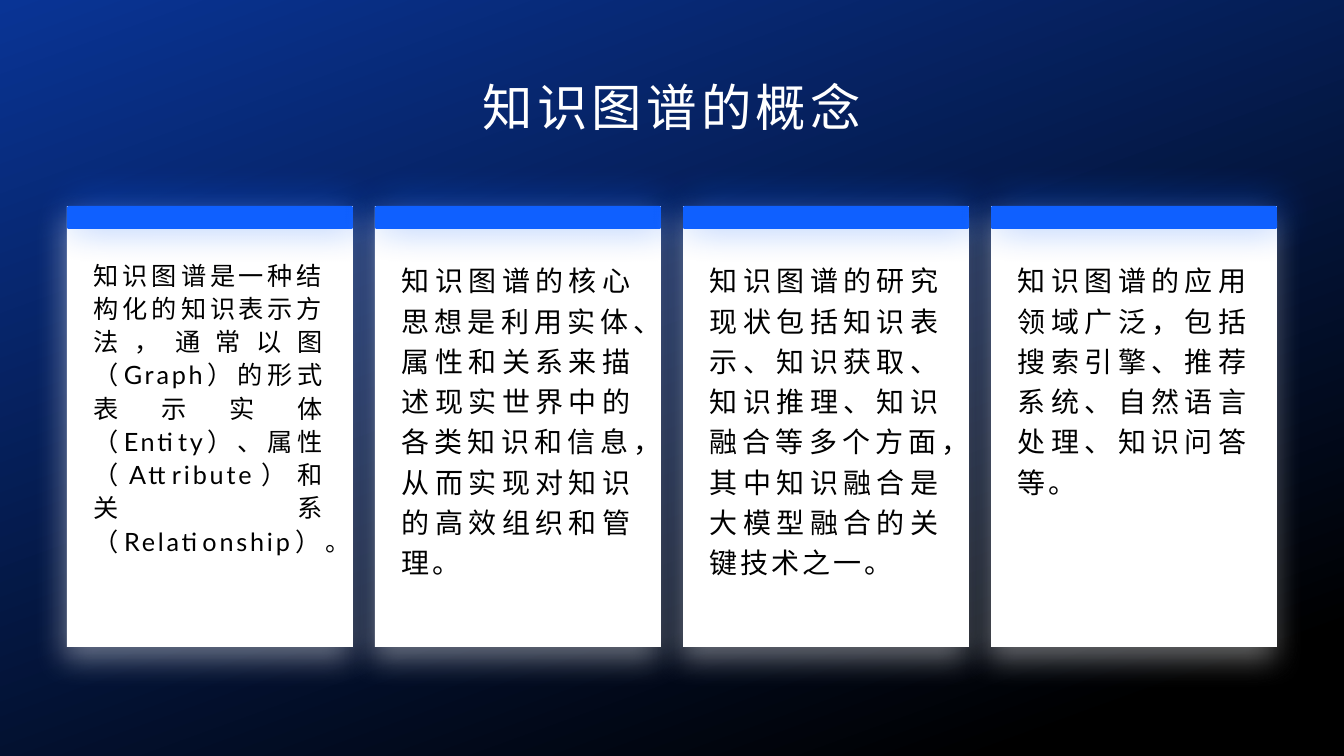
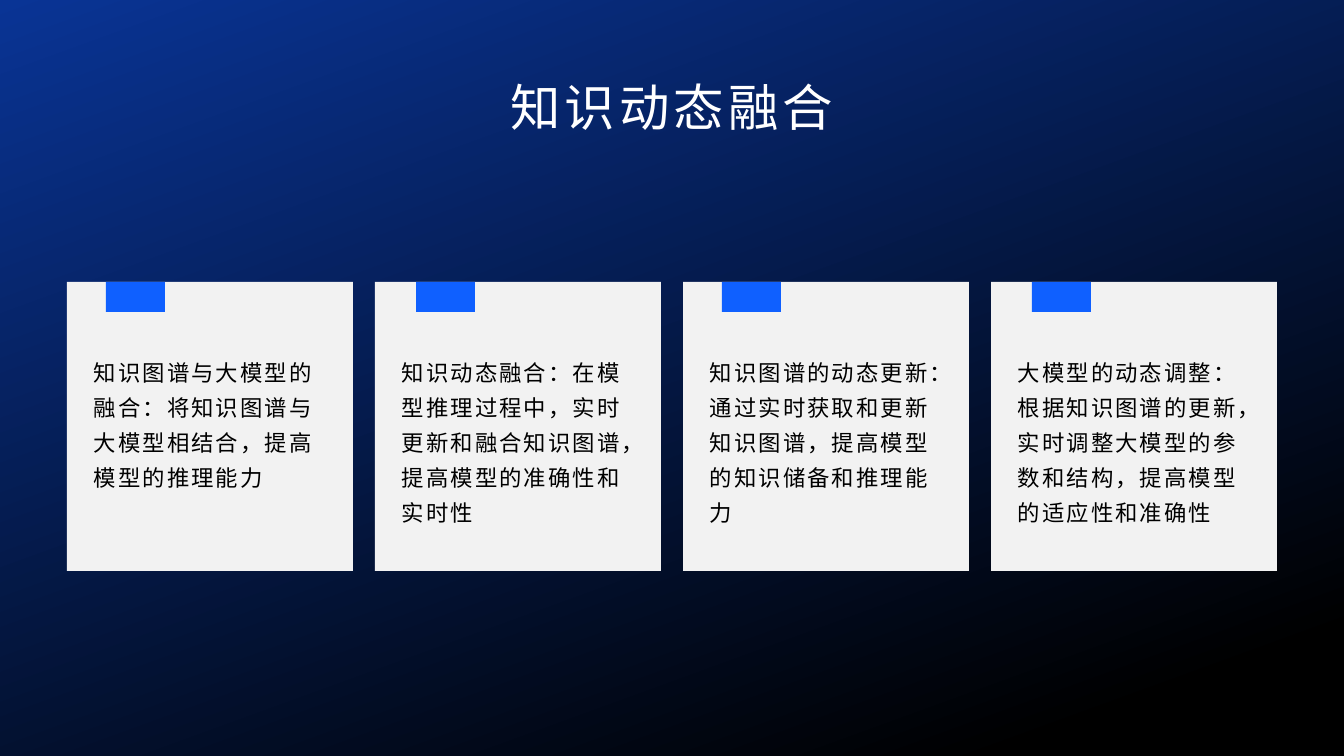
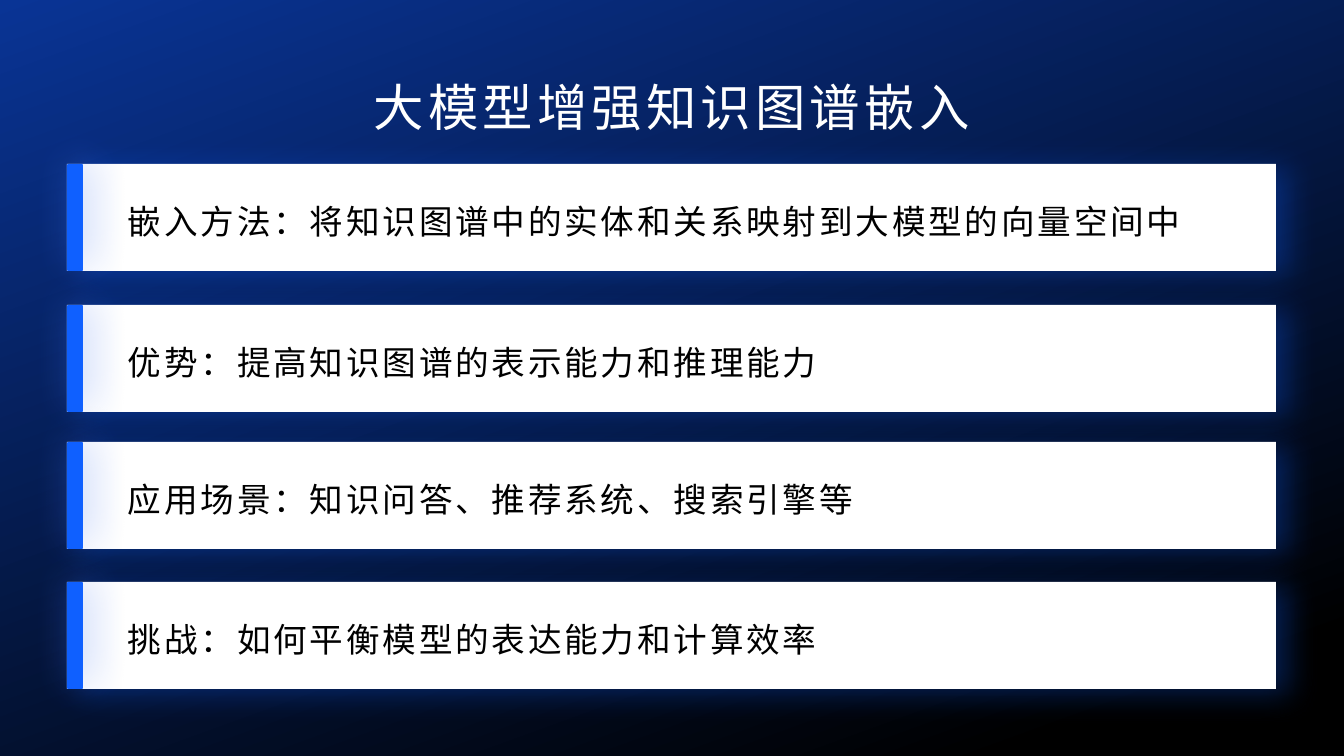
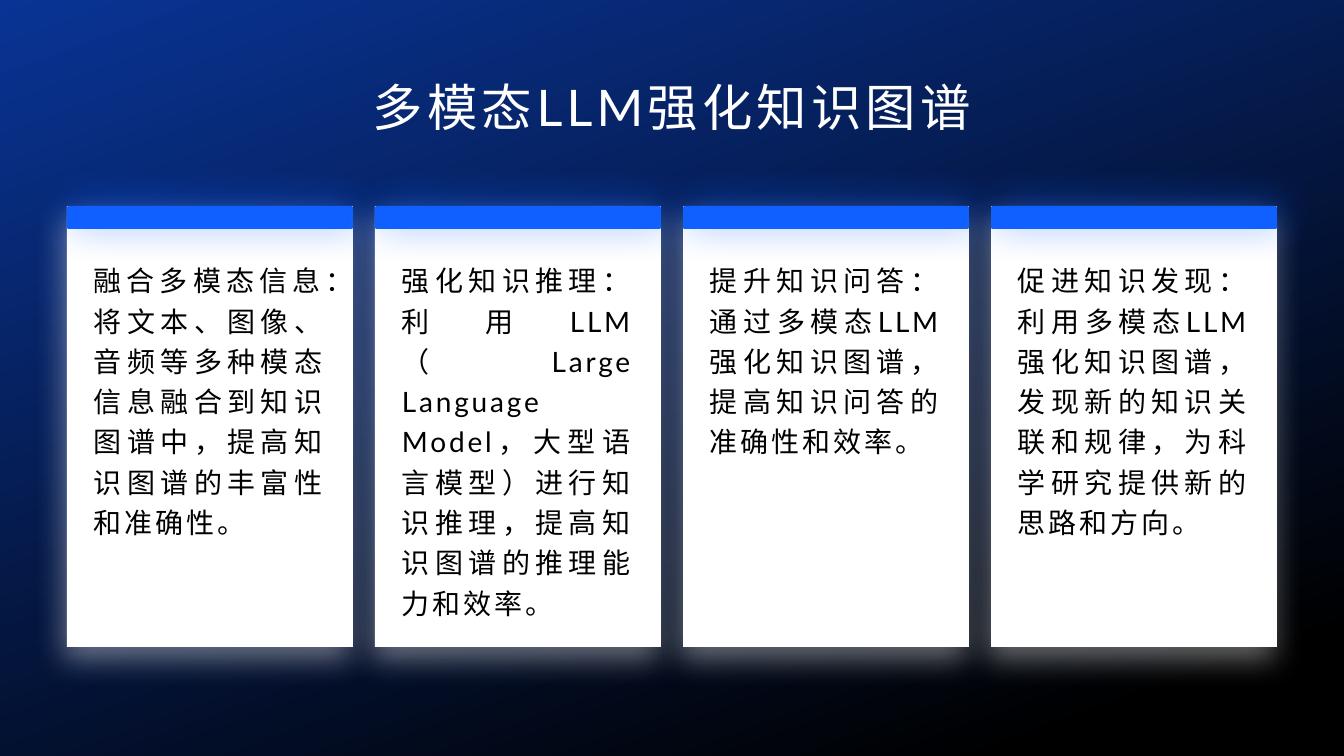
from lxml import etree
from pptx import Presentation
from pptx.dml.color import RGBColor
from pptx.enum import shapes, text
from pptx.oxml.ns import qn
from pptx.util import Emu, Pt

SCALE = 914400 / 100.8
FONT = "Lato"
NAVY = RGBColor(0x09, 0x34, 0x95)
BLACK = RGBColor(0, 0, 0)
WHITE = RGBColor(0xFF, 0xFF, 0xFF)
PALE = RGBColor(0xF2, 0xF2, 0xF2)
BLUE = RGBColor(0x0F, 0x60, 0xFF)
SKY = RGBColor(0x45, 0x75, 0xF0)
LEFT, STEP = 67, 308

CONCEPT = (
    "知识图谱是一种结构化的知识表示方法，通常以图（Graph）的形式表示实体（Entity）、属性（Attribute）和关系（Relationship）。",
    "知识图谱的核心思想是利用实体、属性和关系来描述现实世界中的各类知识和信息，从而实现对知识的高效组织和管理。",
    "知识图谱的研究现状包括知识表示、知识获取、知识推理、知识融合等多个方面，其中知识融合是大模型融合的关键技术之一。",
    "知识图谱的应用领域广泛，包括搜索引擎、推荐系统、自然语言处理、知识问答等。",
)
FUSION = (
    (39, "知识图谱与大模型的融合：将知识图谱与大模型相结合，提高模型的推理能力"),
    (41, "知识动态融合：在模型推理过程中，实时更新和融合知识图谱，提高模型的准确性和实时性"),
    (39, "知识图谱的动态更新：通过实时获取和更新知识图谱，提高模型的知识储备和推理能力"),
    (41, "大模型的动态调整：根据知识图谱的更新，实时调整大模型的参数和结构，提高模型的适应性和准确性"),
)
EMBED = (
    (164, "嵌入方法：将知识图谱中的实体和关系映射到大模型的向量空间中"),
    (305, "优势：提高知识图谱的表示能力和推理能力"),
    (442, "应用场景：知识问答、推荐系统、搜索引擎等"),
    (582, "挑战：如何平衡模型的表达能力和计算效率"),
)
MODAL = (
    "融合多模态信息：将文本、图像、音频等多种模态信息融合到知识图谱中，提高知识图谱的丰富性和准确性。",
    "强化知识推理：利用LLM（Large Language Model，大型语言模型）进行知识推理，提高知识图谱的推理能力和效率。",
    "提升知识问答：通过多模态LLM强化知识图谱，提高知识问答的准确性和效率。",
    "促进知识发现：利用多模态LLM强化知识图谱，发现新的知识关联和规律，为科学研究提供新的思路和方向。",
)


def px(*sizes):
    """Turn pixel lengths into EMU."""
    return [Emu(round(size * SCALE)) for size in sizes]


def glow(shape, color, alpha, blur, dist, angle):
    """Give a shape a soft coloured outer shadow."""
    effects = shape._element.spPr.find(qn("a:effectLst"))
    outer = etree.SubElement(
        effects, qn("a:outerShdw"), blurRad=str(Pt(blur)), dist=str(Pt(dist)),
        dir=str(angle * 60000), algn="ctr", rotWithShape="0")
    tint = etree.SubElement(outer, qn("a:srgbClr"), val=str(color))
    etree.SubElement(tint, qn("a:alpha"), val=str(alpha * 1000))


def block(slide, box, color, shade=None, corner=0):
    """Draw a plain filled block, with a glow or round corners if given."""
    kinds = shapes.MSO_SHAPE
    kind = kinds.ROUNDED_RECTANGLE if corner else kinds.RECTANGLE
    shape = slide.shapes.add_shape(kind, *px(*box))
    if corner:
        shape.adjustments[0] = corner
    shape.fill.solid()
    shape.fill.fore_color.rgb = color
    shape.line.fill.background()
    shape.shadow.inherit = False
    if shade:
        glow(shape, *shade)


def write(slide, box, words, size, gap, color=BLACK, align=None, space=None,
          anchor=text.MSO_ANCHOR.TOP):
    """Add a wrapped text box with one letter-spaced paragraph."""
    frame = slide.shapes.add_textbox(*px(*box)).text_frame
    frame.word_wrap = True
    frame.vertical_anchor = anchor
    para = frame.paragraphs[0]
    para.text = words
    para.alignment = align
    para.line_spacing = space
    font = para.font
    font.name, font.size, font.color.rgb = FONT, Pt(size), color
    font._rPr.set("spc", str(round(gap * 100)))


def backdrop(deck):
    """Set the shared gradient on the master."""
    fill = deck.slide_master.background.fill
    fill.gradient()
    fill.gradient_angle = 290
    for stop, color, place in zip(fill.gradient_stops, (NAVY, BLACK), (0, 0.9)):
        stop.color.rgb, stop.position = color, place


def page(deck, title):
    """Add a blank slide with the shared title."""
    slide = deck.slides.add_slide(deck.slide_layouts[6])
    write(slide, (LEFT, 67, 1210, 78), title, 36, 3, WHITE,
          text.PP_ALIGN.CENTER, anchor=text.MSO_ANCHOR.MIDDLE)
    return slide


def columns(slide, items, first=(20, 1.2)):
    """Draw tall cards with a blue top band; first sets the first card's type."""
    for i, words in enumerate(items):
        x = LEFT + i * STEP
        size, space = (20, 1.2) if i else first
        block(slide, (x, 206, 286, 441), WHITE, (WHITE, 40, 22, 9, 106))
        block(slide, (x, 206, 286, 23), BLUE, (BLUE, 45, 30, 5, 315), 0.08)
        write(slide, (x + 17, 252, 251, 376), words, size, 2,
              align=text.PP_ALIGN.JUSTIFY, space=space)


def notes(slide, items):
    """Draw pale cards with a small blue tab."""
    for i, (tab, words) in enumerate(items):
        x = LEFT + i * STEP
        block(slide, (x, 282, 286, 289), PALE)
        block(slide, (x + tab, 282, 59, 30), BLUE)
        write(slide, (x + 17, 346, 251, 203), words, 16, 1.5, space=1.3)


def rows(slide, items):
    """Draw wide bars with a blue left stripe."""
    for y, words in items:
        block(slide, (LEFT, y, 1209, 107), WHITE, (BLUE, 30, 22, 9, 17))
        block(slide, (LEFT, y, 16, 107), BLUE, (SKY, 45, 30, 5, 315), 0.08)
        write(slide, (118, y, 1157, 107), words, 24, 2, space=1.2,
              anchor=text.MSO_ANCHOR.MIDDLE)


def main():
    """Build and save the deck."""
    deck = Presentation()
    deck.slide_width, deck.slide_height = px(1344, 756)
    backdrop(deck)
    columns(page(deck, "知识图谱的概念"), CONCEPT, (18, 1.1))
    notes(page(deck, "知识动态融合"), FUSION)
    rows(page(deck, "大模型增强知识图谱嵌入"), EMBED)
    columns(page(deck, "多模态LLM强化知识图谱"), MODAL)
    deck.save("out.pptx")


if __name__ == "__main__":
    main()
